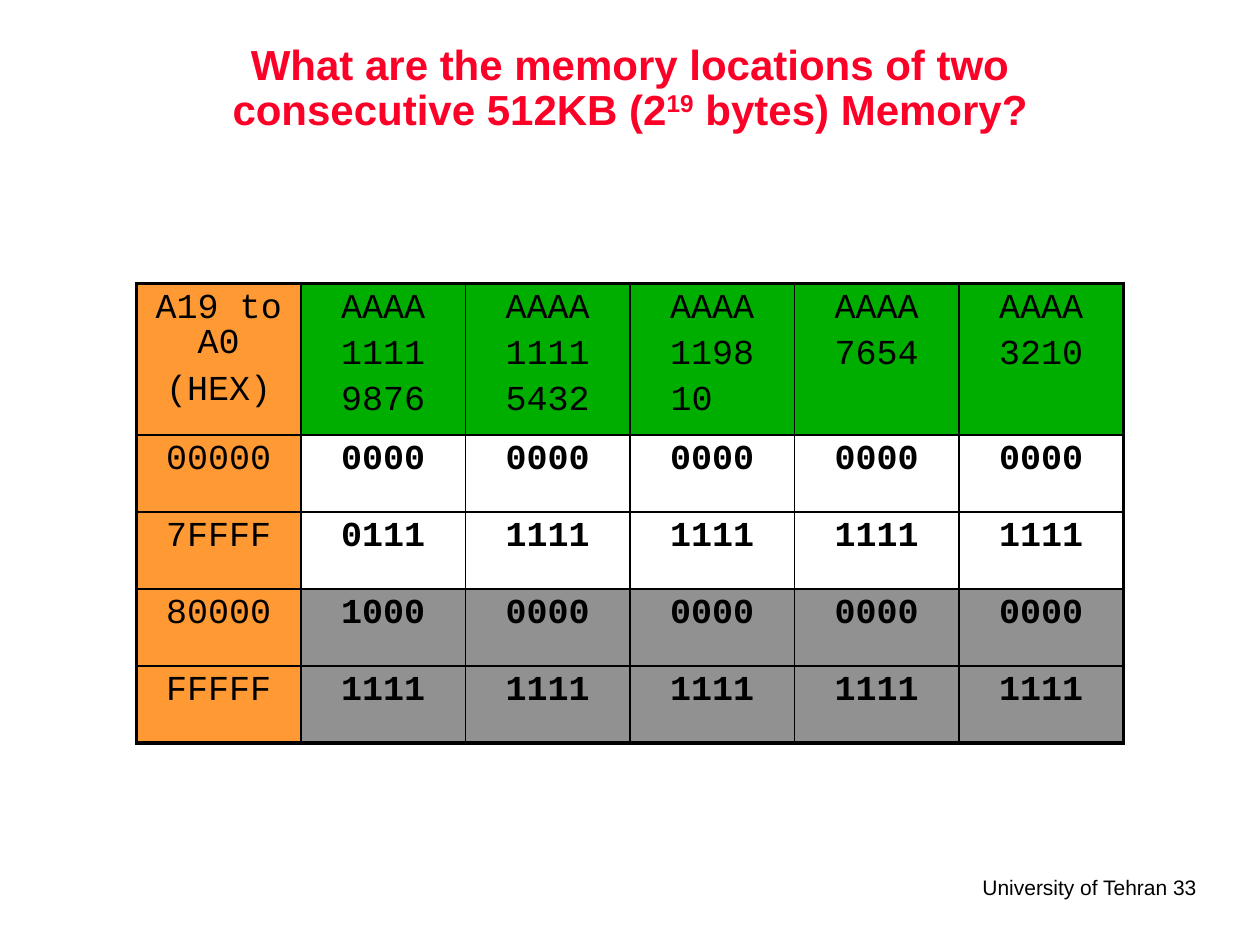
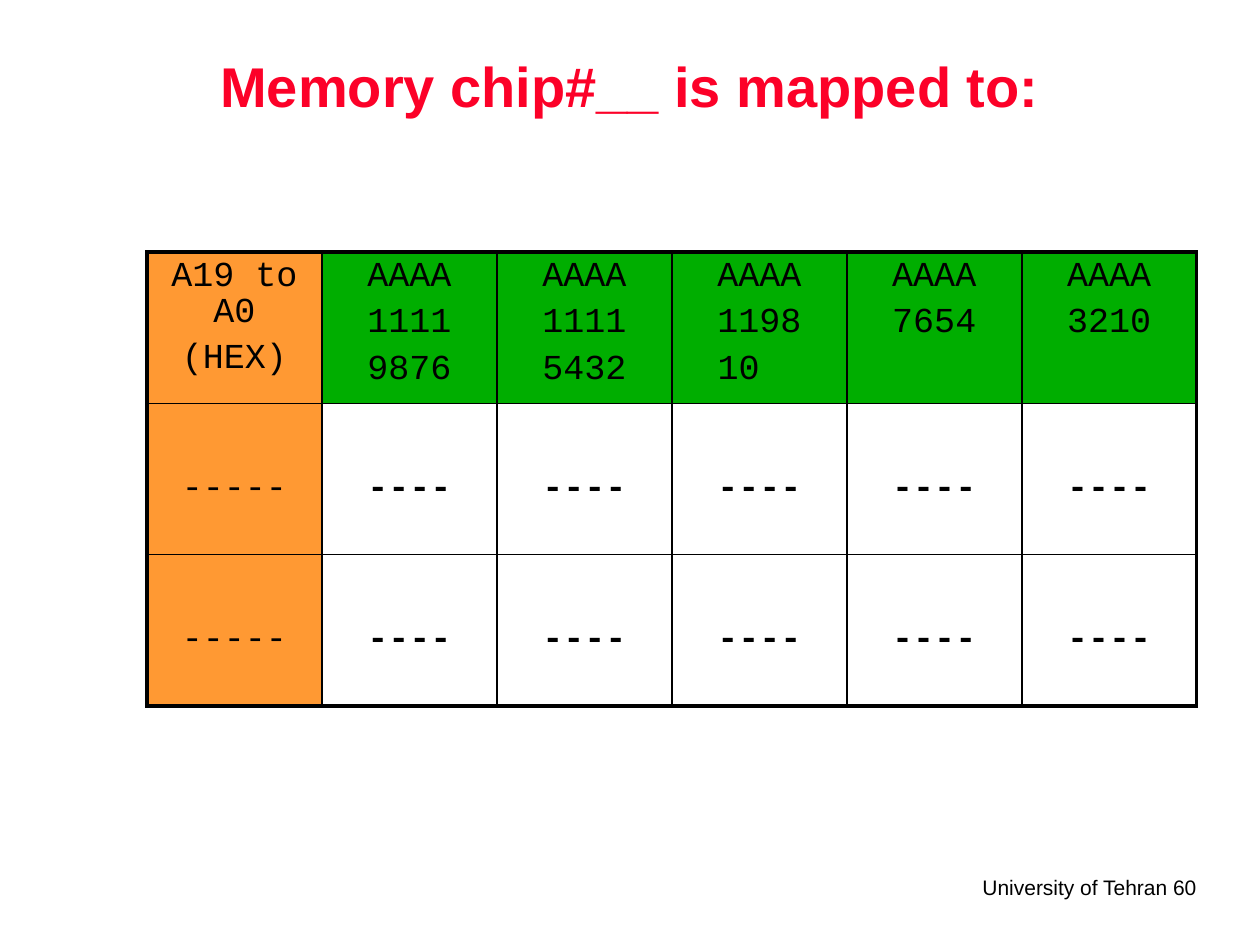
import dataclasses

import lxml.etree
import pptx
import pptx.dml.color
import pptx.enum.text
import pptx.oxml.ns
import pptx.presentation
import pptx.slide
import pptx.table
import pptx.text.text
import pptx.util

RGB = pptx.dml.color.RGBColor
ALIGN = pptx.enum.text.PP_ALIGN
FIT = pptx.enum.text.MSO_AUTO_SIZE
ANCHOR = pptx.enum.text.MSO_ANCHOR

RED = RGB(0xFC, 0x01, 0x28)
BLACK = RGB(0, 0, 0)
WHITE = RGB(255, 255, 255)
ORANGE = RGB(0xFF, 0x99, 0x33)
GREEN = RGB(0, 0xAE, 0)
GRAY = RGB(0x91, 0x91, 0x91)

SANS = "Arial"
MONO = "Courier New"
SCALE = 6350
THIN, THICK = 1, 2.25
INSET = 14
DIGIT = 24
HEADS = (
    "A19 to A0\n(HEX)",
    "AAAA\n1111\n9876",
    "AAAA\n1111\n5432",
    "AAAA\n1198\n10",
    "AAAA\n7654",
    "AAAA\n3210",
)


@dataclasses.dataclass(frozen=True)
class Row:
    cells: tuple[str, ...]
    fill: RGB
    high: int
    pad: int = 7


@dataclasses.dataclass(frozen=True)
class Page:
    title: tuple[str, ...]
    size: int
    number: int
    left: int
    top: int
    wide: int
    rows: tuple[Row, ...]


HEAD = Row(HEADS, GREEN, 173)
BLANK = Row(("-----",) + ("----",) * 5, WHITE, 173, 76)

PAGES = (
    Page(
        ("What are the memory locations of two consecutive 512KB (2", "19", " bytes) Memory?"),
        24, 33, 156, 324, 188,
        (
            HEAD,
            Row(("00000",) + ("0000",) * 5, WHITE, 88),
            Row(("7FFFF", "0111") + ("1111",) * 4, WHITE, 88),
            Row(("80000", "1000") + ("0000",) * 4, GRAY, 88),
            Row(("FFFFF",) + ("1111",) * 5, GRAY, 88),
        ),
    ),
    Page(("Memory chip#__ is mapped to:",), 32, 60, 168, 288, 200, (HEAD, BLANK, BLANK)),
)


def px(size: int) -> pptx.util.Emu:
    return pptx.util.Emu(size * SCALE)


def style(line: pptx.text.text._Paragraph, face: str, size: int, color: RGB, bold: bool) -> None:
    for run in line.runs:
        run.font.name = face
        run.font.size = pptx.util.Pt(size)
        run.font.bold = bold
        run.font.color.rgb = color


def add_title(slide: pptx.slide.Slide, page: Page) -> None:
    shape = slide.shapes.title
    shape.left, shape.top, shape.width, shape.height = map(px, (156, 12, 1128, 180))
    frame = shape.text_frame
    frame.text = page.title[0]
    frame.word_wrap = True
    frame.auto_size = FIT.NONE
    frame.vertical_anchor = ANCHOR.MIDDLE
    line = frame.paragraphs[0]
    for part in page.title[1:]:
        line.add_run().text = part
    line.alignment = ALIGN.CENTER
    line.line_spacing = 0.9
    style(line, SANS, page.size, RED, True)
    for run in line.runs[1:2]:
        run.font._element.set("baseline", "30000")


def add_foot(slide: pptx.slide.Slide, number: int) -> None:
    frame = slide.shapes.add_textbox(px(1103), px(992), px(279), px(43)).text_frame
    frame.text = f"University of Tehran {number}"
    frame.word_wrap = False
    line = frame.paragraphs[0]
    line.alignment = ALIGN.RIGHT
    style(line, SANS, 12, BLACK, False)


def add_edge(cell: pptx.table._Cell, side: str, width: float) -> None:
    props = cell._tc.get_or_add_tcPr()
    name = pptx.oxml.ns.qn
    edge = lxml.etree.SubElement(props, name(f"a:ln{side}"), w=str(pptx.util.Pt(width)))
    solid = lxml.etree.SubElement(edge, name("a:solidFill"))
    lxml.etree.SubElement(solid, name("a:srgbClr"), val=str(BLACK))


def fill_cell(cell: pptx.table._Cell, text: str, row: Row, color: RGB, bold: bool, wide: int) -> None:
    cell.text = text
    cell.margin_top = px(row.pad)
    cell.fill.solid()
    cell.fill.fore_color.rgb = color
    for spot, line in enumerate(cell.text_frame.paragraphs):
        line.alignment = ALIGN.CENTER
        line.line_spacing = 0.9
        if spot:
            line.space_before = pptx.util.Pt(6)
        if line.text == "10":
            line.alignment = ALIGN.LEFT
            indent = px((wide - 4 * DIGIT) // 2 - INSET)
            line._p.get_or_add_pPr().set("marL", str(indent))
        style(line, MONO, 20, BLACK, bold)


def add_grid(slide: pptx.slide.Slide, page: Page) -> None:
    count, span = len(page.rows), len(HEADS)
    high = sum(row.high for row in page.rows)
    box = map(px, (page.left, page.top, page.wide * span, high))
    table = slide.shapes.add_table(count, span, *box).table
    table.first_row = table.horz_banding = False
    for y, row in enumerate(page.rows):
        table.rows[y].height = px(row.high)
        for x, text in enumerate(row.cells):
            cell = table.cell(y, x)
            rims = {"L": x == 0, "R": x == span - 1, "T": y == 0, "B": y == count - 1}
            for side, outer in rims.items():
                add_edge(cell, side, THICK if outer else THIN)
            color = row.fill if x else ORANGE
            fill_cell(cell, text, row, color, x > 0 and y > 0, page.wide)


def add_page(deck: pptx.presentation.Presentation, page: Page) -> None:
    slide = deck.slides.add_slide(deck.slide_layouts[5])
    slide.background.fill.solid()
    slide.background.fill.fore_color.rgb = WHITE
    add_foot(slide, page.number)
    add_title(slide, page)
    add_grid(slide, page)


def main() -> None:
    deck = pptx.Presentation()
    deck.slide_width, deck.slide_height = px(1440), px(1080)
    for page in PAGES:
        add_page(deck, page)
    deck.save("out.pptx")


if __name__ == "__main__":
    main()
